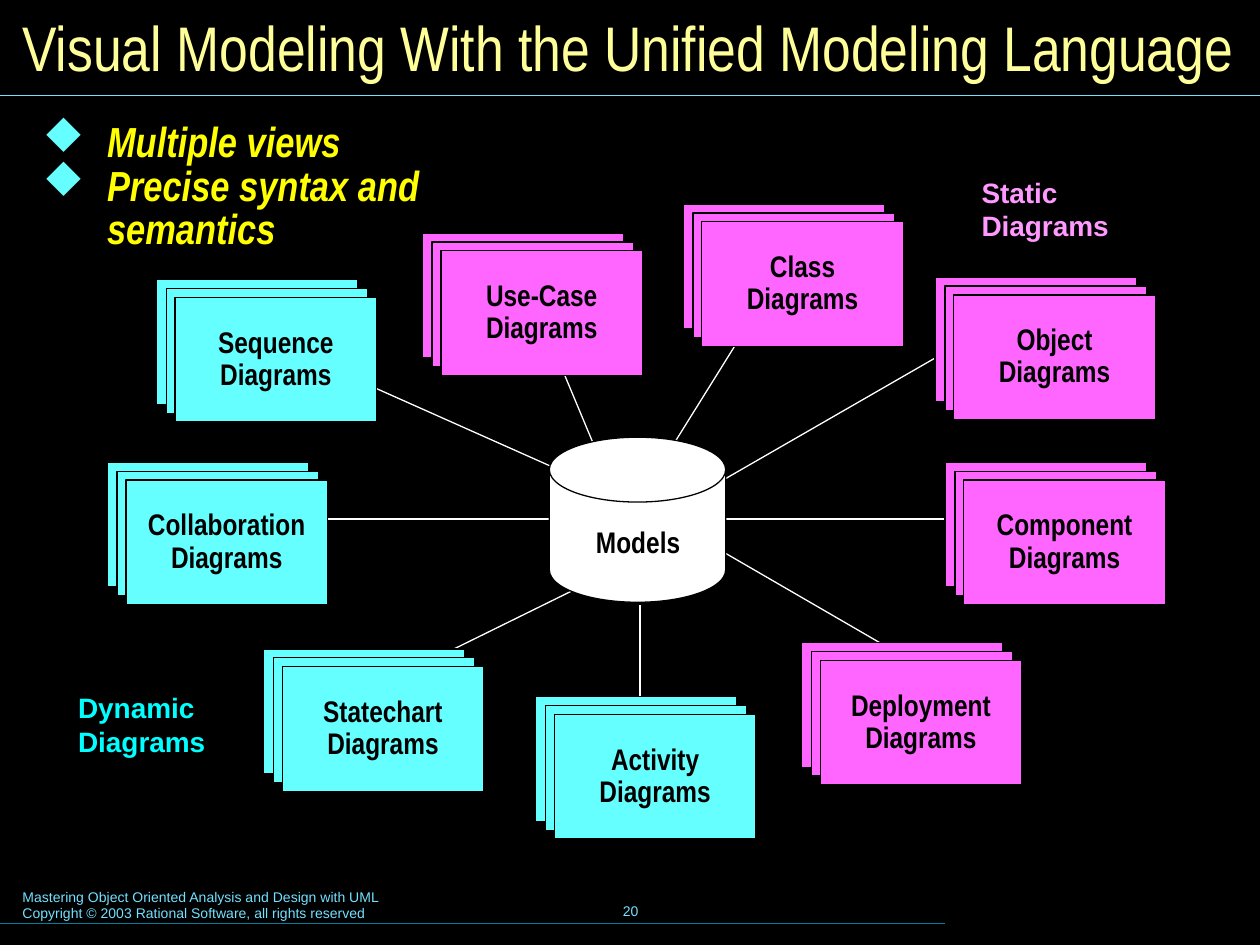
from lxml import etree
from pptx import Presentation
from pptx.dml.color import RGBColor
from pptx.enum.shapes import MSO_CONNECTOR, MSO_SHAPE
from pptx.enum.text import MSO_ANCHOR as ANCHOR, PP_ALIGN as ALIGN
from pptx.oxml.ns import qn
from pptx.util import Emu, Pt

PX = 9144  # EMU per px, 100 px to the inch

BLACK = RGBColor(0x00, 0x00, 0x00)
WHITE = RGBColor(0xFF, 0xFF, 0xFF)
CREAM = RGBColor(0xFF, 0xFF, 0x99)
YELLOW = RGBColor(0xFF, 0xFF, 0x00)
SKY = RGBColor(0x73, 0xE1, 0xFF)
TEAL = RGBColor(0x00, 0x7E, 0x9F)
CYAN = RGBColor(0x66, 0xFF, 0xFF)
PINK = RGBColor(0xFF, 0x66, 0xFF)
DYNAMIC_TEXT = RGBColor(0x00, 0xFF, 0xFF)
STATIC_TEXT = RGBColor(0xFF, 0x99, 0xFF)

SANS, NARROW = "Arial", "Arial Narrow"

SHEET_W, SHEET_H = 160, 99
SHEET_OFFSETS = [(-15, -14), (-7, -7), (0, 0)]

# label, colour, left and top of the front sheet
STACKS = [
    ("Sequence", CYAN, 139, 236),
    ("Collaboration", CYAN, 100, 381),
    ("Statechart", CYAN, 224, 529),
    ("Activity", CYAN, 440, 567),
    ("Deployment", PINK, 651, 524),
    ("Component", PINK, 765, 381),
    ("Object", PINK, 757, 234),
    ("Class", PINK, 557, 176),
    ("Use-Case", PINK, 350, 199),
]

SPOKES = [
    (527, 408, 765, 271), (551, 412, 774, 412), (244, 284, 482, 390),
    (332, 529, 458, 467), (422, 235, 480, 374), (243, 412, 466, 412),
    (601, 246, 510, 392), (705, 514, 529, 412),
]


def px(*values):
    return [Emu(v * PX) for v in values]


def add_line(s, x1, y1, x2, y2, color, width=0.75):
    line = s.shapes.add_connector(MSO_CONNECTOR.STRAIGHT, *px(x1, y1, x2, y2))
    line.line.color.rgb = color
    line.line.width = Pt(width)
    etree.SubElement(line._element.spPr, qn("a:effectLst"))


def add_block(s, kind, box, fill):
    sp = s.shapes.add_shape(kind, *px(*box))
    sp.shadow.inherit = False
    sp.fill.solid()
    sp.fill.fore_color.rgb = fill
    sp.line.color.rgb = BLACK
    sp.line.width = Pt(0.75)
    return sp


def write(sp, text, font, size, color, bold=False, italic=False, align=ALIGN.LEFT,
          anchor=ANCHOR.TOP, wrap=True, spacing=None, insets=(10, 5)):
    """Fill a shape with text, one paragraph a line, in a single style."""
    tf = sp.text_frame
    tf.text = text
    tf.word_wrap = wrap
    tf.vertical_anchor = anchor
    tf.margin_left = tf.margin_right = Emu(insets[0] * PX)
    tf.margin_top = tf.margin_bottom = Emu(insets[1] * PX)
    for p in tf.paragraphs:
        p.alignment = align
        if spacing:
            p.line_spacing = spacing
        for r in p.runs:
            r.font.name, r.font.size = font, Pt(size)
            r.font.bold, r.font.italic = bold, italic
            r.font.color.rgb = color
    return tf


def add_text(s, box, text, font, size, color, **style):
    return write(s.shapes.add_textbox(*px(*box)), text, font, size, color, **style)


def add_diamond_bullet(p, indent):
    """Hang the paragraph on a diamond, which is the letter u in Wingdings."""
    pPr = p._p.get_or_add_pPr()
    pPr.set("marL", str(indent * PX))
    pPr.set("indent", str(-indent * PX))
    color = etree.SubElement(pPr, qn("a:buClr"))
    etree.SubElement(color, qn("a:srgbClr"), val=str(CYAN))
    etree.SubElement(pPr, qn("a:buFont"), typeface="Wingdings", pitchFamily="2", charset="2")
    etree.SubElement(pPr, qn("a:buChar"), char="u")


def add_header(s):
    add_line(s, 0, 76, 1000, 76, SKY)
    add_text(s, (8, 8, 984, 58), "Visual Modeling With the Unified Modeling Language",
             NARROW, 36, CREAM, anchor=ANCHOR.MIDDLE)


def add_footer(s):
    add_line(s, 0, 733, 750, 733, TEAL)
    add_text(s, (8, 700, 510, 37),
             "Mastering Object Oriented Analysis and Design with UML\n"
             "Copyright © 2003 Rational Software, all rights reserved", SANS, 8, SKY)
    add_text(s, (342, 698, 317, 50), "20", SANS, 8, SKY,
             align=ALIGN.CENTER, anchor=ANCHOR.MIDDLE)


def add_key_points(s, box):
    tf = add_text(s, box, "Multiple views\nPrecise syntax and semantics", NARROW, 24,
                  YELLOW, bold=True, italic=True, spacing=0.87, insets=(9, 5))
    for p in tf.paragraphs:
        add_diamond_bullet(p, 51)


def add_stack(s, label, color, x, y):
    """Three overlapping sheets, the front one labelled."""
    for dx, dy in SHEET_OFFSETS:
        sheet = add_block(s, MSO_SHAPE.RECTANGLE, (x + dx, y + dy, SHEET_W, SHEET_H), color)
    write(sheet, f"{label}\nDiagrams", NARROW, 17, BLACK, bold=True, align=ALIGN.CENTER,
          anchor=ANCHOR.MIDDLE, wrap=False, spacing=0.9, insets=(9, 5))


def add_models_store(s, x, y):
    can = add_block(s, MSO_SHAPE.CAN, (x, y, 140, 131), WHITE)
    can.adjustments[0] = 0.393
    add_text(s, (x + 25, y + 66, 91, 37), "Models", NARROW, 17, BLACK, bold=True,
             wrap=False, spacing=0.9, insets=(12, 6))


def add_diagram(s):
    for spoke in SPOKES:
        add_line(s, *spoke, WHITE)
    add_line(s, 508, 480, 508, 567, WHITE, 1)
    add_models_store(s, 436, 347)
    for stack in STACKS:
        add_stack(s, *stack)
    for x, y, text, color in [(50, 542, "Dynamic Diagrams", DYNAMIC_TEXT),
                              (767, 133, "Static Diagrams", STATIC_TEXT)]:
        add_text(s, (x, y, 133, 65), text, SANS, 16, color, bold=True, insets=(12, 6))


def main():
    prs = Presentation()
    prs.slide_width, prs.slide_height = px(1000, 750)
    s = prs.slides.add_slide(prs.slide_layouts[6])
    s.background.fill.solid()
    s.background.fill.fore_color.rgb = BLACK
    add_header(s)
    add_footer(s)
    add_diagram(s)
    add_key_points(s, (25, 92, 433, 149))
    prs.save("out.pptx")


if __name__ == "__main__":
    main()
